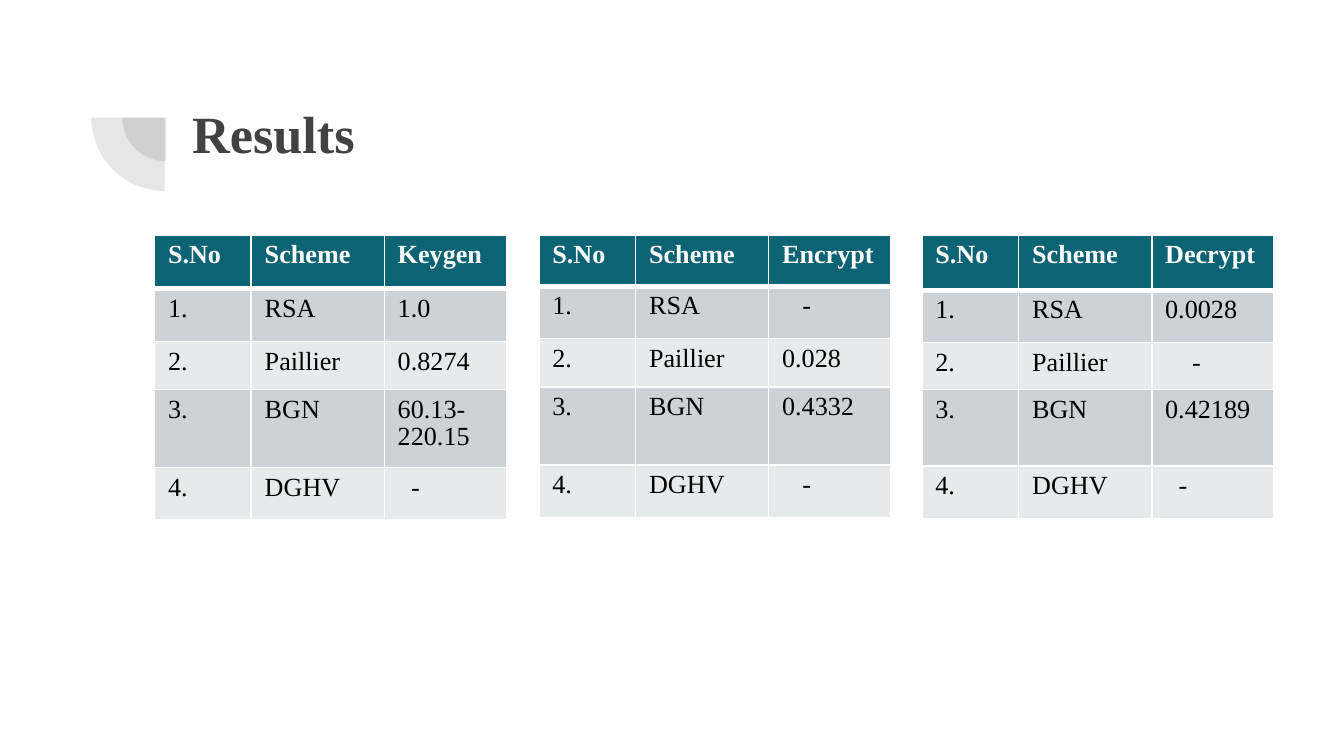
from typing import NamedTuple

from pptx import Presentation
from pptx.dml.color import RGBColor
from pptx.enum.shapes import MSO_SHAPE
from pptx.enum.text import MSO_ANCHOR, MSO_AUTO_SIZE, PP_ALIGN
from pptx.oxml.ns import qn
from pptx.slide import Slide
from pptx.table import _Cell
from pptx.util import Inches, Pt
from lxml import etree

PIE = MSO_SHAPE.PIE
TOP = MSO_ANCHOR.TOP
FIXED = MSO_AUTO_SIZE.NONE
LEFT = PP_ALIGN.LEFT

FONT = "Times New Roman"
COLORS = {
    "title": "424242",
    "head": "0B6374",
    "odd": "CCD2D5",
    "even": "E7EAEB",
    "white": "FFFFFF",
    "black": "000000",
}
SCHEMES = ["RSA", "Paillier", "BGN", "DGHV"]
WIDTHS = [0.72, 0.99, 0.91]
INSET = 0.1


class Timing(NamedTuple):
    """One table: its step, left edge, times, row heights and dash indents by row."""
    step: str
    left: float
    times: list[str]
    heights: list[float]
    dashes: dict[int, float]


TIMINGS = [
    Timing("Keygen", 1.15, ["1.0", "0.8274", "60.13-220.15", "-"],
           [0.4, 0.39, 0.36, 0.58, 0.39], {4: 0.1}),
    Timing("Encrypt", 4.01, ["-", "0.028", "0.4332", "-"],
           [0.38, 0.39, 0.36, 0.58, 0.39], {1: 0.15, 4: 0.15}),
    Timing("Decrypt", 6.86, ["0.0028", "-", "0.42189", "-"],
           [0.41, 0.39, 0.35, 0.57, 0.39], {2: 0.2, 4: 0.1}),
]


def color(name: str) -> RGBColor:
    return RGBColor.from_string(COLORS[name])


def add_pie(slide: Slide, left: float, top: float, size: float) -> None:
    """Draw a faint quarter disc that opens to the lower left."""
    pie = slide.shapes.add_shape(
        PIE, Inches(left), Inches(top), Inches(size), Inches(size))
    pie.rotation = 270
    pie.adjustments[0] = 108
    pie.adjustments[1] = 162
    pie.shadow.inherit = False
    pie.line.fill.background()
    pie.fill.solid()
    pie.fill.fore_color.rgb = color("title")
    tint = pie.fill._xPr.find(".//" + qn("a:srgbClr"))
    etree.SubElement(tint, qn("a:alpha"), val="13000")


def set_title(slide: Slide, text: str) -> None:
    title = slide.shapes.title
    title.left, title.top = Inches(1.43), Inches(0.65)
    title.width, title.height = Inches(7.69), Inches(1.09)
    frame = title.text_frame
    frame.text = text
    frame.auto_size = FIXED
    frame.vertical_anchor = TOP
    frame.margin_left = frame.margin_right = 0
    frame.margin_top = frame.margin_bottom = Inches(0.1)
    line = frame.paragraphs[0]
    line.alignment = LEFT
    font = line.runs[0].font
    font.name, font.size, font.bold = FONT, Pt(28), True
    font.color.rgb = color("title")


def add_rule(cell: _Cell) -> None:
    """Draw the thick white line below a header cell."""
    rule = etree.Element(qn("a:lnB"), w=str(Pt(3)))
    fill = etree.SubElement(rule, qn("a:solidFill"))
    etree.SubElement(fill, qn("a:srgbClr"), val=COLORS["white"])
    cell._tc.get_or_add_tcPr().insert(0, rule)


def set_cell(cell: _Cell, text: str, row: int, indent: float) -> None:
    head = row == 0
    cell.fill.solid()
    cell.fill.fore_color.rgb = color(
        "head" if head else "odd" if row % 2 else "even")
    if head:
        add_rule(cell)
    cell.margin_left = Inches(INSET + indent)
    cell.text_frame.text = text
    line = cell.text_frame.paragraphs[0]
    line.line_spacing = 0.95
    font = line.runs[0].font
    font.name, font.size, font.bold = FONT, Pt(14), head
    font.color.rgb = color("white" if head else "black")


def add_timing(slide: Slide, timing: Timing) -> None:
    rows = [("S.No", "Scheme", timing.step)]
    for num, pair in enumerate(zip(SCHEMES, timing.times), 1):
        rows.append((f"{num}.", *pair))
    table = slide.shapes.add_table(
        len(rows), len(WIDTHS), Inches(timing.left), Inches(1.75),
        Inches(sum(WIDTHS)), Inches(sum(timing.heights))).table
    for col, width in zip(table.columns, WIDTHS):
        col.width = Inches(width)
    last = len(WIDTHS) - 1
    for r, texts in enumerate(rows):
        table.rows[r].height = Inches(timing.heights[r])
        for c, text in enumerate(texts):
            indent = timing.dashes.get(r, 0) if c == last else 0
            set_cell(table.cell(r, c), text, r, indent)


def main() -> None:
    deck = Presentation()
    deck.slide_width = Inches(10)
    deck.slide_height = deck.slide_width * 9 // 16
    slide = deck.slides.add_slide(deck.slide_layouts.get_by_name("Title Only"))
    add_pie(slide, 0.91, 0.55, 0.65)
    add_pie(slide, 0.68, 0.33, 1.09)
    set_title(slide, "Results")
    for timing in TIMINGS:
        add_timing(slide, timing)
    deck.save("out.pptx")


if __name__ == "__main__":
    main()
